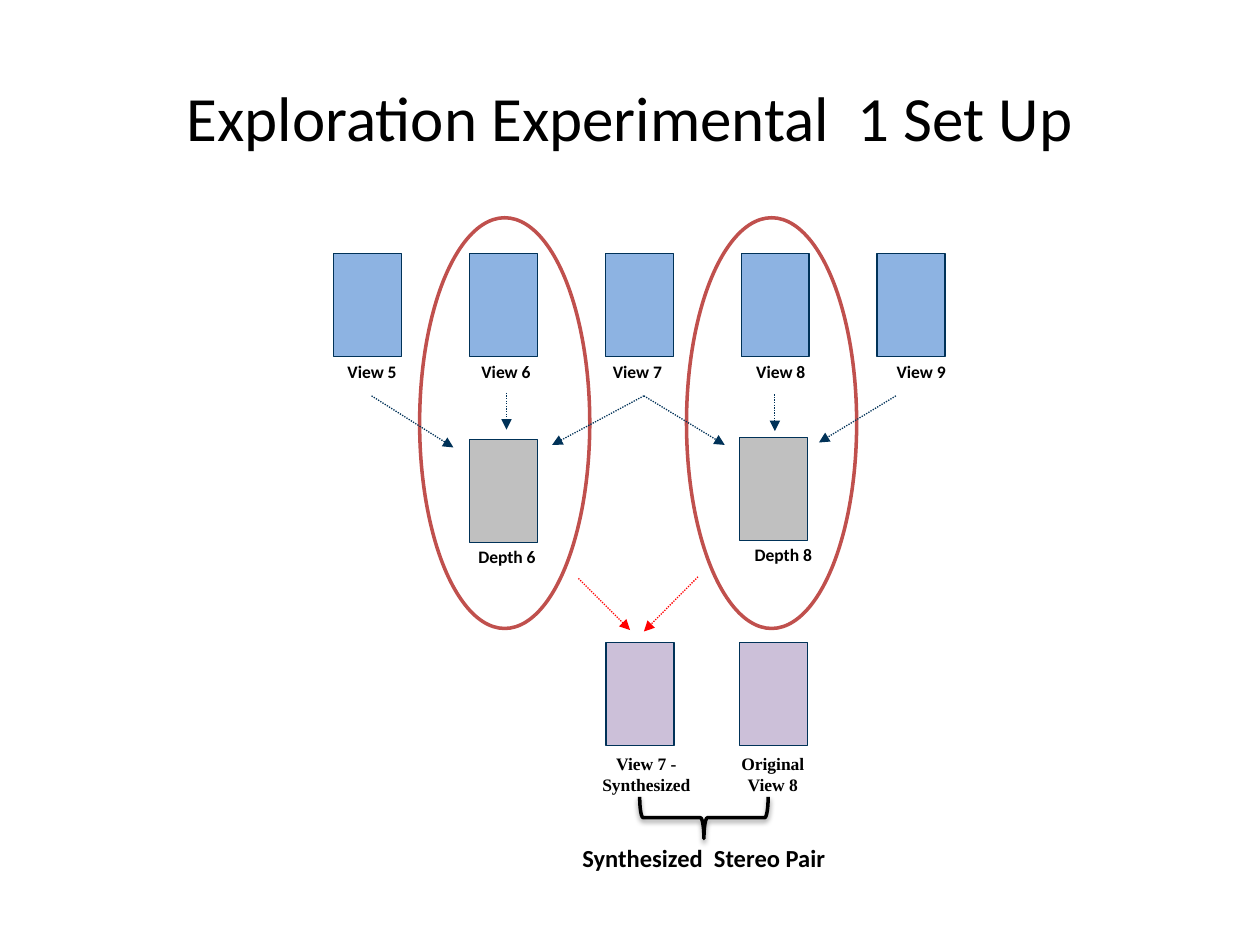
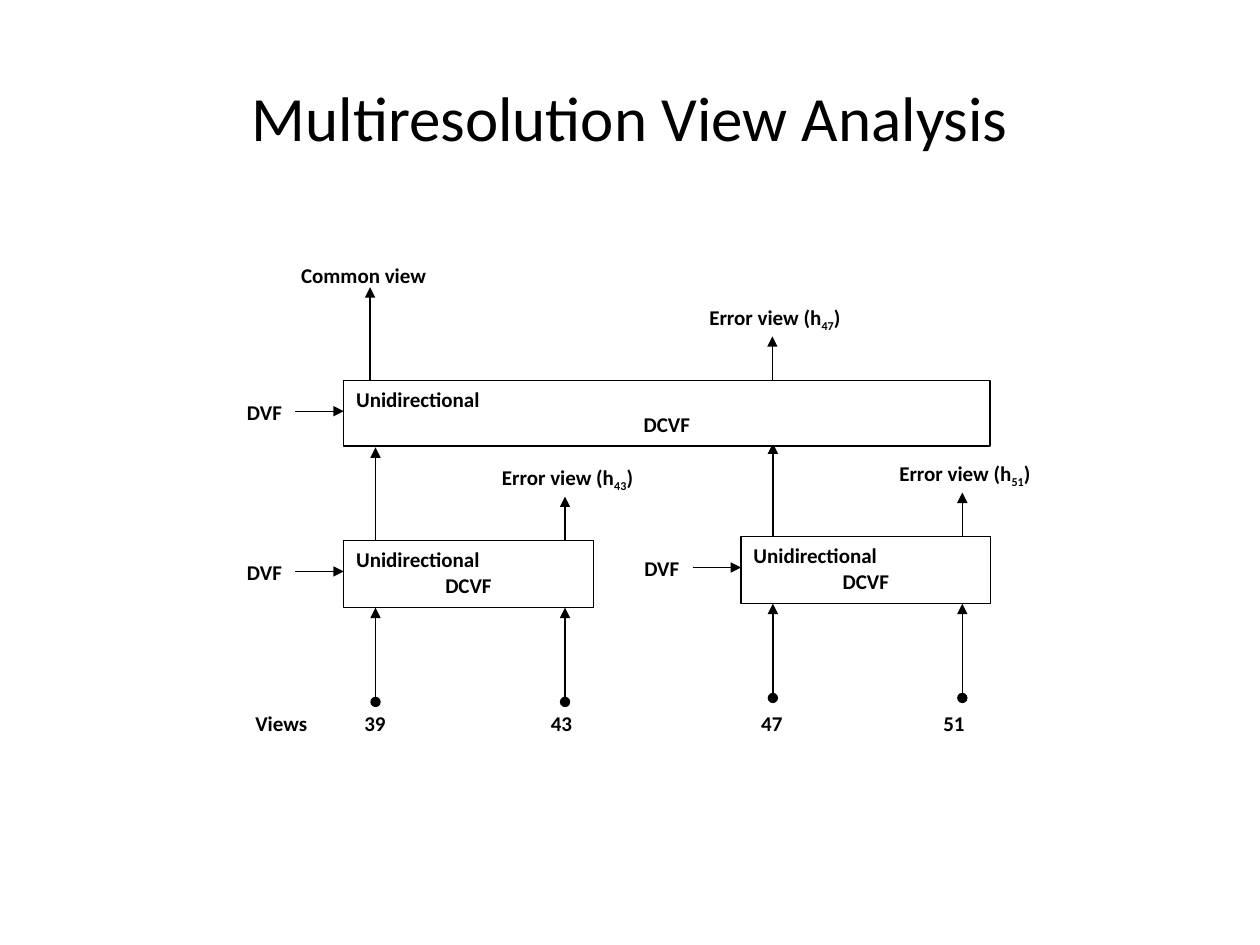
"""Builds two slides: a view synthesis set-up and a multiresolution view analysis."""
import pptx
import pptx.util
import pptx.dml.color
import pptx.enum.dml
import pptx.enum.shapes
import pptx.enum.text
import pptx.oxml
import pptx.oxml.ns

Cm = pptx.util.Cm
Pt = pptx.util.Pt
KIND = pptx.enum.shapes.MSO_SHAPE
ALIGN = pptx.enum.text.PP_ALIGN
FONT, SERIF = "Calibri", "Times New Roman"
BLACK, WHITE, NAVY, RED, BRICK = "000000", "FFFFFF", "003258", "FF0000", "C0504D"
BLUE, GREY, MAUVE = "8DB3E2", "C0C0C0", "CCC0D9"
CARD = (1.37, 2.08)


def tint(code):
    """Turn a hex string into a colour."""
    return pptx.dml.color.RGBColor.from_string(code)


def node(root, tag, **attrs):
    """Append a drawing element with attributes to a parent."""
    child = pptx.oxml.ns.qn("a:" + tag)
    item = root.makeelement(child, attrs)
    root.append(item)
    return item


def write(para, runs, size, font=FONT, bold=True, align=ALIGN.LEFT):
    """Add runs to a paragraph; every second run is a subscript."""
    para.alignment = align
    for spot, text in enumerate(runs):
        run = para.add_run()
        run.text = text
        run.font.size, run.font.name, run.font.bold = Pt(size), font, bold
        run.font.color.rgb = tint(BLACK)
        if spot % 2:
            run._r.get_or_add_rPr().set("baseline", "-25000")


def label(slide, box, runs, size, **style):
    """Add a wrapped text box."""
    frame = slide.shapes.add_textbox(*map(Cm, box)).text_frame
    frame.word_wrap = True
    write(frame.paragraphs[0], runs, size, **style)
    return frame


def middle(slide, mid, top, text, size, wide=3, font=FONT):
    """Add a label centred on a given place."""
    label(slide, (mid - wide / 2, top, wide, 0.7), [text], size,
          font=font, align=ALIGN.CENTER)


def shape(slide, kind, box, fill, line, width=0.75):
    """Add a preset shape without shadow."""
    item = slide.shapes.add_shape(kind, *map(Cm, box))
    item.shadow.inherit = False
    if fill:
        item.fill.solid()
        item.fill.fore_color.rgb = tint(fill)
    else:
        item.fill.background()
    item.line.color.rgb = tint(line)
    item.line.width = Pt(width)
    return item


def arrow(slide, start, end, color=BLACK, dots=False, ball=False):
    """Add a straight arrow, if wanted dotted or with a ball at its start."""
    item = slide.shapes.add_connector(
        pptx.enum.shapes.MSO_CONNECTOR.STRAIGHT, *map(Cm, (*start, *end)))
    item.line.color.rgb = tint(color)
    item.line.width = Pt(0.75)
    if dots:
        item.line.dash_style = pptx.enum.dml.MSO_LINE.ROUND_DOT
    edge = item.line._get_or_add_ln()
    if ball:
        node(edge, "headEnd", type="oval")
    node(edge, "tailEnd", type="triangle")
    node(item._element.spPr, "effectLst")


def title(slide, text):
    """Add the slide title."""
    frame = label(slide, (1.27, 0.76, 22.86, 3.18), [text], 36,
                  bold=False, align=ALIGN.CENTER)
    frame.vertical_anchor = pptx.enum.text.MSO_ANCHOR.MIDDLE


def views(slide, box):
    """Draw the row of five captured views, spread over the box."""
    left, top, wide, _ = box
    step = (wide - CARD[0]) / 4
    mids = (0.77, 3.47, 6.12, 9.01, 11.84)
    for spot, mid in enumerate(mids):
        shape(slide, KIND.RECTANGLE, (left + spot * step, top, *CARD), BLUE, NAVY)
        middle(slide, left + mid, top + 2.05, f"View {spot + 5}", 10)


def depths(slide, box):
    """Draw the two depth maps, their rings and the arrows into them."""
    left, top, _, high = box
    for x, y, mid, ring, text in ((2.74, 4.47, 3.49, 1.73, "Depth 6"),
                                  (8.18, 4.43, 9.06, 7.11, "Depth 8")):
        shape(slide, KIND.RECTANGLE, (left + x, top + y, *CARD), GREY, NAVY)
        middle(slide, left + mid, top + y + 2.03, text, 10)
        shape(slide, KIND.OVAL, (left + ring, top, 3.43, high), None, BRICK, 2)
    paths = (
        (0.76, 3.59, 2.41, 4.63, NAVY), (3.48, 3.53, 3.48, 4.27, NAVY),
        (6.25, 3.59, 4.4, 4.58, NAVY), (6.25, 3.59, 7.88, 4.58, NAVY),
        (8.89, 3.56, 8.89, 4.3, NAVY), (11.33, 3.59, 9.78, 4.53, NAVY),
        (4.93, 7.27, 5.97, 8.31, RED), (7.34, 7.24, 6.25, 8.34, RED))
    for ax, ay, bx, by, color in paths:
        arrow(slide, (left + ax, top + ay), (left + bx, top + by), color, True)


def pair(slide, box):
    """Draw the stereo pair with its brace and caption."""
    left, top, wide, _ = box
    for x, mid, text in ((0, 0.81, "View 7 - Synthesized"),
                         (wide - CARD[0], 3.36, "Original View 8")):
        shape(slide, KIND.RECTANGLE, (left + x, top, *CARD), MAUVE, NAVY)
        middle(slide, left + mid, top + 2.1, text, 10, 2.54, SERIF)
    brace = shape(slide, KIND.RIGHT_BRACE, (left + 1.55, top + 2.24, 0.84, 2.59),
                  None, BLACK, 2)
    brace.rotation = 90
    glow = brace._element.spPr.find(pptx.oxml.ns.qn("a:effectLst"))
    cast = node(glow, "outerShdw", blurRad=str(Pt(3.1)), dist=str(Pt(1.6)),
                dir="5400000", rotWithShape="0")
    node(node(cast, "srgbClr", val=BLACK), "alpha", val="38000")
    middle(slide, left + 1.97, top + 3.92, "Synthesized  Stereo Pair", 14, 6)


def block(slide, box, ins, out, up, name):
    """Draw one filter block with its inputs, outputs and labels."""
    left, top, wide, high = box
    frame = shape(slide, KIND.RECTANGLE, box, WHITE, BLACK).text_frame
    frame.word_wrap = True
    frame.vertical_anchor = pptx.enum.text.MSO_ANCHOR.TOP
    write(frame.paragraphs[0], ["Unidirectional"], 12)
    write(frame.add_paragraph(), ["DCVF"], 12, align=ALIGN.CENTER)
    arrow(slide, (left - 0.98, top + 0.62), (left, top + 0.62))
    label(slide, (left - 2.2, top + 0.25, 1.5, 0.69), ["DVF"], 12)
    for x in ins:
        arrow(slide, (left + x, top + 3.25), (left + x, top + high), ball=True)
    arrow(slide, (left + up, top), (left + up, top - 1.88))
    arrow(slide, (left + out, top), (left + out, top - 0.89))
    label(slide, (left + out - 1.52, top - 1.66, 3.5, 0.8),
          ["Error view (h", name, ")"], 12)


def footing(slide, box):
    """Write the row of view numbers."""
    left, top, _, _ = box
    for mid, text in ((0.77, "Views"), (2.66, "39"), (6.42, "43"),
                      (10.66, "47"), (14.33, "51")):
        middle(slide, left + mid, top, text, 12, 2)


def main():
    """Build and save the deck."""
    deck = pptx.Presentation()
    deck.slide_width, deck.slide_height = Cm(25.4), Cm(19.05)
    setup, tree = (deck.slides.add_slide(deck.slide_layouts[6]) for _ in range(2))

    title(setup, "Exploration Experimental  1 Set Up")
    views(setup, (6.73, 5.11, 12.32, 2.75))
    depths(setup, (6.73, 4.39, 12.32, 8.28))
    pair(setup, (12.22, 12.95, 4.06, 4.8))

    title(tree, "Multiresolution View Analysis")
    ends = (0.64, 4.46)
    block(tree, (6.93, 10.9, 5.03, 1.35), ends, ends[1], ends[0], "43")
    block(tree, (14.94, 10.82, 5.03, 1.35), ends, ends[1], ends[0], "51")
    block(tree, (6.93, 7.67, 13.03, 1.32), (), 8.64, 0.53, "47")
    label(tree, (5.82, 5.16, 3.28, 0.76), ["Common view"], 12)
    footing(tree, (4.9, 14.2, 15.7, 1.32))
    deck.save("out.pptx")


main()
